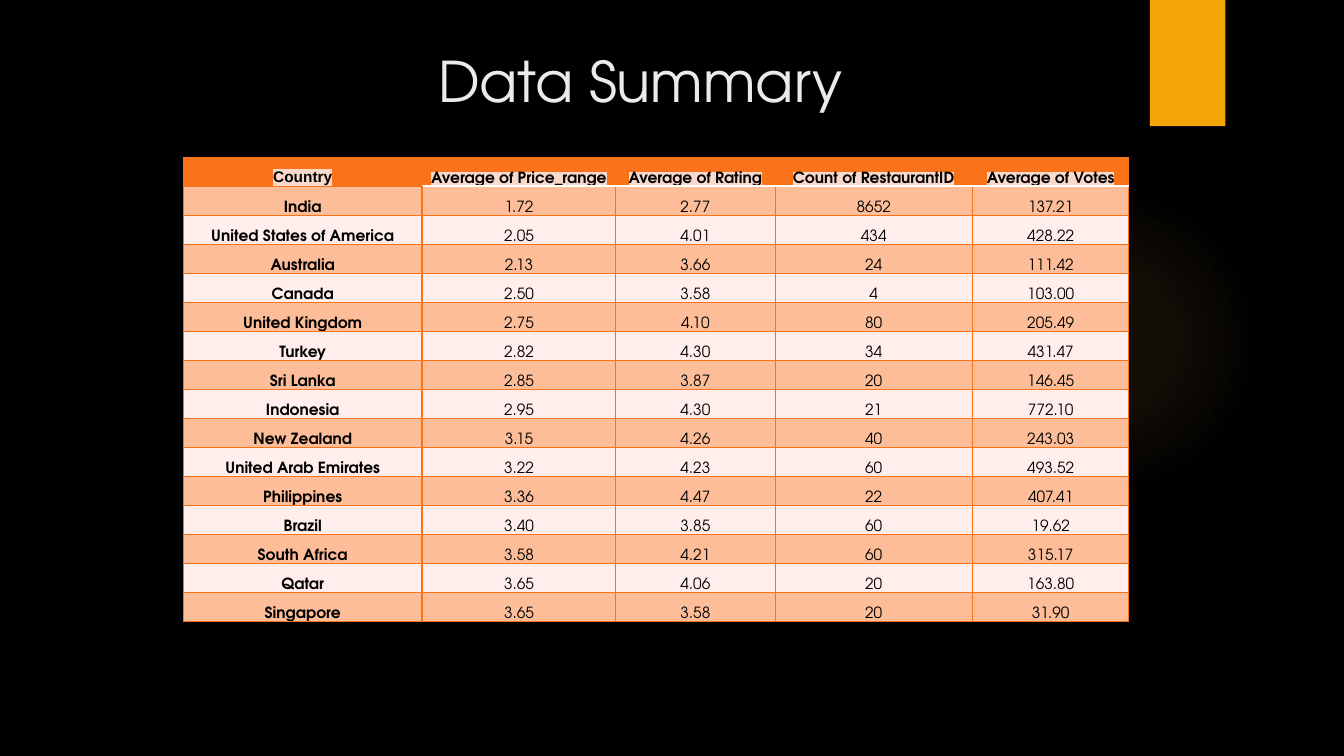
"""Build the Data Summary slide: a table of restaurant figures by country."""
from dataclasses import astuple, dataclass

from pptx import Presentation
from pptx.dml.color import RGBColor
from pptx.enum.shapes import MSO_SHAPE
from pptx.enum.text import MSO_ANCHOR, PP_ALIGN
from pptx.oxml import parse_xml
from pptx.oxml.ns import nsdecls, qn
from pptx.util import Cm, Pt

COLORS = {
    "background": "000000",
    "glow": "FAC96A",
    "tab": "F5A408",
    "title": "EBEBEB",
    "orange": "FA731A",
    "band": "FDBD98",
    "plain": "FFEEEB",
    "highlight": "FAD9CD",
    "text": "000000",
    "white": "FFFFFF",
}
FONT = "TeX Gyre Adventor"
HEADERS = ("Country", "Average of Price_range", "Average of Rating",
           "Count of RestaurantID", "Average of Votes")
COLUMN_WIDTHS = (6.02, 4.88, 4.01, 4.98, 3.94)
TABLE_HEIGHT = 11.71
NO_STYLE = "{2D5ABB26-0587-4C30-8999-92F81FD0307C}"


@dataclass(frozen=True)
class CountrySummary:
    country: str
    price_range: str
    rating: str
    restaurants: str
    votes: str


@dataclass(frozen=True)
class Border:
    side: str
    color: str
    width: float


SUMMARIES = (
    CountrySummary("India", "1.72", "2.77", "8652", "137.21"),
    CountrySummary("United States of America", "2.05", "4.01", "434", "428.22"),
    CountrySummary("Australia", "2.13", "3.66", "24", "111.42"),
    CountrySummary("Canada", "2.50", "3.58", "4", "103.00"),
    CountrySummary("United Kingdom", "2.75", "4.10", "80", "205.49"),
    CountrySummary("Turkey", "2.82", "4.30", "34", "431.47"),
    CountrySummary("Sri Lanka", "2.85", "3.87", "20", "146.45"),
    CountrySummary("Indonesia", "2.95", "4.30", "21", "772.10"),
    CountrySummary("New Zealand", "3.15", "4.26", "40", "243.03"),
    CountrySummary("United Arab Emirates", "3.22", "4.23", "60", "493.52"),
    CountrySummary("Philippines", "3.36", "4.47", "22", "407.41"),
    CountrySummary("Brazil", "3.40", "3.85", "60", "19.62"),
    CountrySummary("South Africa", "3.58", "4.21", "60", "315.17"),
    CountrySummary("Qatar", "3.65", "4.06", "20", "163.80"),
    CountrySummary("Singapore", "3.65", "3.58", "20", "31.90"),
)


def rgb(name: str) -> RGBColor:
    return RGBColor.from_string(COLORS[name])


def add_centred_run(paragraph, text: str, size: float, color: str, font_name: str = FONT):
    paragraph.alignment = PP_ALIGN.CENTER
    run = paragraph.add_run()
    run.text = text
    run.font.size = Pt(size)
    run.font.color.rgb = rgb(color)
    run.font.name = font_name
    return run


def add_glow(slide) -> None:
    shape = slide.shapes.add_shape(MSO_SHAPE.OVAL, Cm(23.9), Cm(4.65), Cm(7.82), Cm(7.82))
    shape.shadow.inherit = False
    shape.line.fill.background()
    shape.fill.background()
    stops = "".join(
        f'<a:gs pos="{position * 1000}"><a:srgbClr val="{COLORS["glow"]}">'
        f'<a:alpha val="{alpha * 1000}"/></a:srgbClr></a:gs>'
        for position, alpha in ((0, 7), (36, 6), (69, 0), (100, 0)))
    gradient = parse_xml(
        f'<a:gradFill {nsdecls("a")} rotWithShape="1"><a:gsLst>{stops}</a:gsLst>'
        '<a:path path="circle"><a:fillToRect l="50000" t="50000" r="50000" b="50000"/>'
        '</a:path></a:gradFill>')
    properties = shape.element.spPr
    properties.replace(properties.find(qn("a:noFill")), gradient)


def add_tab(slide) -> None:
    shape = slide.shapes.add_shape(MSO_SHAPE.RECTANGLE, Cm(28.98), Cm(0), Cm(1.9), Cm(3.18))
    shape.shadow.inherit = False
    shape.fill.solid()
    shape.fill.fore_color.rgb = rgb("tab")
    shape.line.fill.background()
    shape.element.spPr.find(qn("a:effectLst")).append(parse_xml(
        f'<a:outerShdw {nsdecls("a")} blurRad="{Pt(3)}" dist="{Pt(2)}" dir="5400000" '
        f'rotWithShape="0"><a:srgbClr val="{COLORS["background"]}">'
        '<a:alpha val="45000"/></a:srgbClr></a:outerShdw>'))


def add_title(slide) -> None:
    shape = slide.shapes.add_textbox(Cm(3.07), Cm(1.04), Cm(26.14), Cm(1.96))
    frame = shape.text_frame
    frame.word_wrap = True
    frame.vertical_anchor = MSO_ANCHOR.MIDDLE
    add_centred_run(frame.paragraphs[0], "Data Summary", 40, "title")


def cell_borders(row: int, column: int) -> tuple[Border, ...]:
    header = row == 0
    white_top = row == 1 and column > 0
    return (
        Border("L", "orange", 1.5 if column == 1 and not header else 0.75),
        Border("R", "orange", 1.5 if column == 0 and not header else 0.75),
        Border("T", "white" if white_top else "orange", 1.5 if white_top else 0.75),
        Border("B", "white" if header and column else "orange",
               1.5 if header and column else 0.75),
    )


def fill_cell(cell, text: str, row: int, column: int) -> None:
    header = row == 0
    cell.vertical_anchor = MSO_ANCHOR.BOTTOM
    cell.margin_left = cell.margin_right = Cm(0.18)
    cell.margin_top = cell.margin_bottom = Cm(0)
    properties = cell._tc.get_or_add_tcPr()
    for border in cell_borders(row, column):
        properties.append(parse_xml(
            f'<a:ln{border.side} {nsdecls("a")} w="{Pt(border.width)}"><a:solidFill>'
            f'<a:srgbClr val="{COLORS[border.color]}"/></a:solidFill></a:ln{border.side}>'))
    cell.fill.solid()
    cell.fill.fore_color.rgb = rgb("orange" if header else "band" if row % 2 else "plain")
    paragraph = cell.text_frame.paragraphs[0]
    paragraph.line_spacing = 1.15
    font_name = "Arial" if header and column == 0 else FONT
    run = add_centred_run(paragraph, text, 11, "text", font_name)
    run.font.bold = header or column == 0
    if header:
        run.font._element.find(qn("a:solidFill")).addnext(parse_xml(
            f'<a:highlight {nsdecls("a")}><a:srgbClr val="{COLORS["highlight"]}"/>'
            '</a:highlight>'))


def add_summary_table(slide) -> None:
    rows = [HEADERS, *map(astuple, SUMMARIES)]
    frame = slide.shapes.add_table(len(rows), len(HEADERS), Cm(4.62), Cm(3.96),
                                   Cm(sum(COLUMN_WIDTHS)), Cm(TABLE_HEIGHT))
    table = frame.table
    table.horz_banding = False
    table._tbl.tblPr.find(qn("a:tableStyleId")).text = NO_STYLE
    for column, width in zip(table.columns, COLUMN_WIDTHS):
        column.width = Cm(width)
    for row_index, values in enumerate(rows):
        table.rows[row_index].height = Cm(TABLE_HEIGHT / len(rows))
        for column_index, text in enumerate(values):
            fill_cell(table.cell(row_index, column_index), text, row_index, column_index)


def main() -> None:
    presentation = Presentation()
    presentation.slide_width = Cm(33.87)
    presentation.slide_height = Cm(19.05)
    slide = presentation.slides.add_slide(presentation.slide_layouts[6])
    slide.background.fill.solid()
    slide.background.fill.fore_color.rgb = rgb("background")
    add_glow(slide)
    add_tab(slide)
    add_title(slide)
    add_summary_table(slide)
    presentation.save("out.pptx")


if __name__ == "__main__":
    main()
